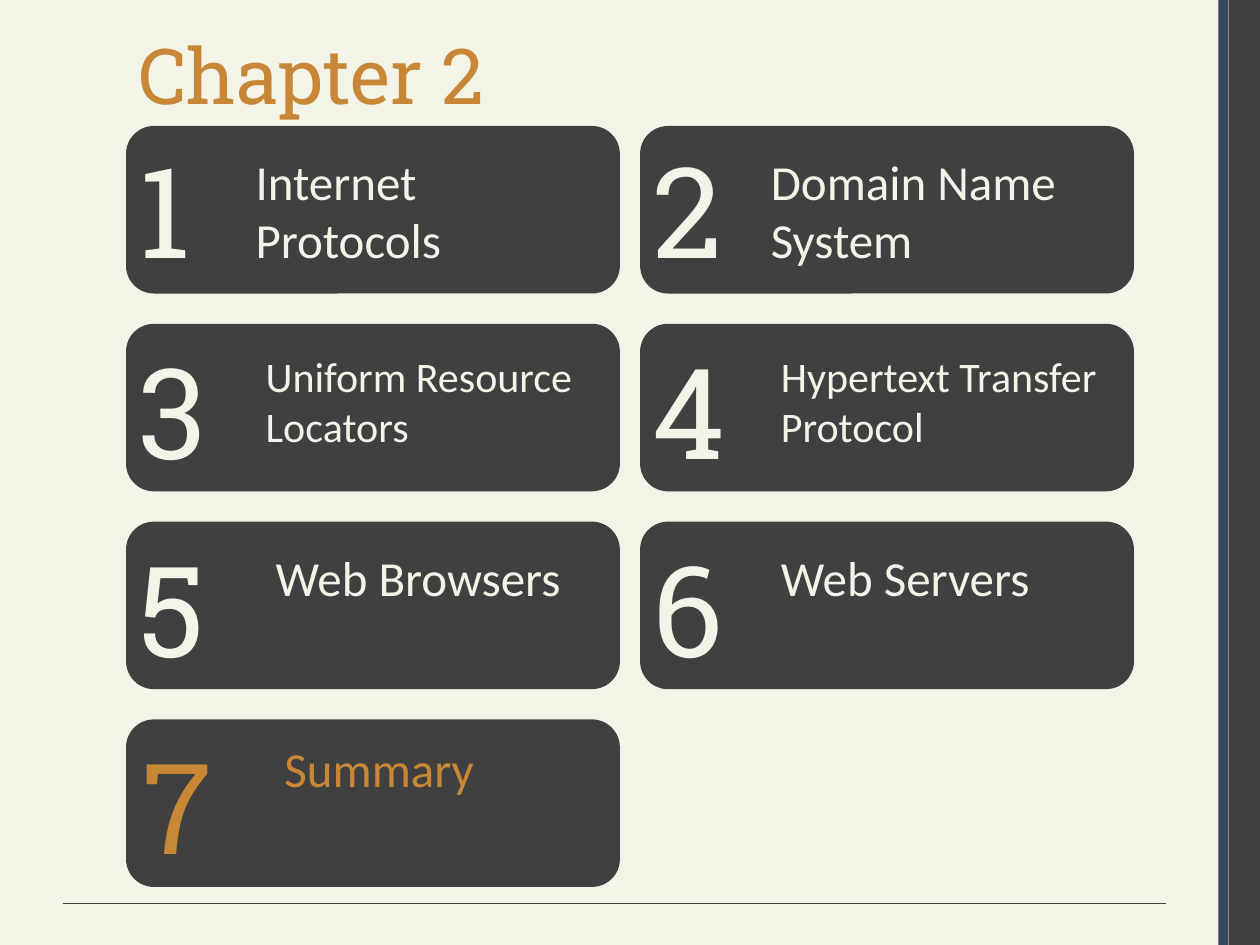
"""Build the Chapter 2 outline slide with numbered topic cards."""
import pptx
import pptx.util
import pptx.dml.color
import pptx.enum.shapes
import pptx.enum.text
from lxml import etree

Inches, Pt = pptx.util.Inches, pptx.util.Pt
RGBColor = pptx.dml.color.RGBColor
SHAPE = pptx.enum.shapes.MSO_SHAPE

CREAM = RGBColor(0xF3, 0xF3, 0xE7)
DARK = RGBColor(0x40, 0x40, 0x40)
NAVY = RGBColor(0x37, 0x47, 0x5F)
ORANGE = RGBColor(0xC8, 0x87, 0x36)
HEADING, BODY = "Roboto Slab", "Calibri"

TITLE = "Chapter 2"
# topic, size, colour, number offset (x, y), label offset (x, y), label height
TOPICS = [
    ("Internet Protocols", 28, CREAM, (0, 0), (0.93, 0.15), 1.04),
    ("Domain Name System", 28, CREAM, (0, 0), (0.94, 0.15), 1.04),
    ("Uniform Resource Locators", 24, CREAM, (0, 0.03), (1.01, 0.16), 0.91),
    ("Hypertext Transfer Protocol", 24, CREAM, (0, 0.03), (1.02, 0.16), 0.91),
    ("Web Browsers", 28, CREAM, (0, 0.03), (1.09, 0.16), 0.57),
    ("Web Servers", 28, CREAM, (0, 0.03), (1.02, 0.16), 0.57),
    ("Summary", 28, ORANGE, (0.03, 0.02), (1.16, 0.1), 0.57),
]
LEFT, TOP, COLUMN_STEP, ROW_STEP = 1, 1, 4.08, 1.57
CARD_W, CARD_H = 3.92, 1.33


def add_block(s, shape, x, y, w, h, color):
    sp = s.shapes.add_shape(shape, Inches(x), Inches(y), Inches(w), Inches(h))
    sp.shadow.inherit = False
    sp.fill.solid()
    sp.fill.fore_color.rgb = color
    sp.line.fill.background()


def add_text(s, text, x, y, w, h, size, font, color):
    sp = s.shapes.add_textbox(Inches(x), Inches(y), Inches(w), Inches(h))
    tf = sp.text_frame
    tf.word_wrap = True
    tf.vertical_anchor = pptx.enum.text.MSO_ANCHOR.TOP
    p = tf.paragraphs[0]
    p.text = text
    p.font.size = Pt(size)
    p.font.name = font
    p.font.color.rgb = color


def add_rule(s, x1, x2, y):
    line = s.shapes.add_connector(
        pptx.enum.shapes.MSO_CONNECTOR.STRAIGHT,
        Inches(x1), Inches(y), Inches(x2), Inches(y))
    line.line.color.rgb = DARK
    line.line.width = Pt(0.75)
    etree.SubElement(line._element.spPr, pptx.oxml.ns.qn("a:effectLst"))


def main():
    prs = pptx.Presentation()
    prs.slide_width, prs.slide_height = Inches(10), Inches(7.5)
    s = prs.slides.add_slide(prs.slide_layouts[6])
    s.background.fill.solid()
    s.background.fill.fore_color.rgb = CREAM

    add_block(s, SHAPE.RECTANGLE, 9.75, 0, 0.25, 7.5, DARK)
    add_block(s, SHAPE.RECTANGLE, 9.67, 0, 0.08, 7.5, NAVY)
    add_rule(s, 9.25, 0.5, 7.17)
    add_text(s, TITLE, 1, 0.17, 8.67, 1.17, 44, HEADING, ORANGE)

    for i, (topic, size, color, number, label, height) in enumerate(TOPICS):
        row, column = divmod(i, 2)
        x, y = LEFT + column * COLUMN_STEP, TOP + row * ROW_STEP
        add_block(s, SHAPE.ROUNDED_RECTANGLE, x, y, CARD_W, CARD_H, DARK)
        add_text(s, str(i + 1), x + number[0], y + number[1], 0.75, 1.31,
                 72, HEADING, color)
        add_text(s, topic, x + label[0], y + label[1], 2.76, height,
                 size, BODY, color)

    prs.save("out.pptx")


if __name__ == "__main__":
    main()
